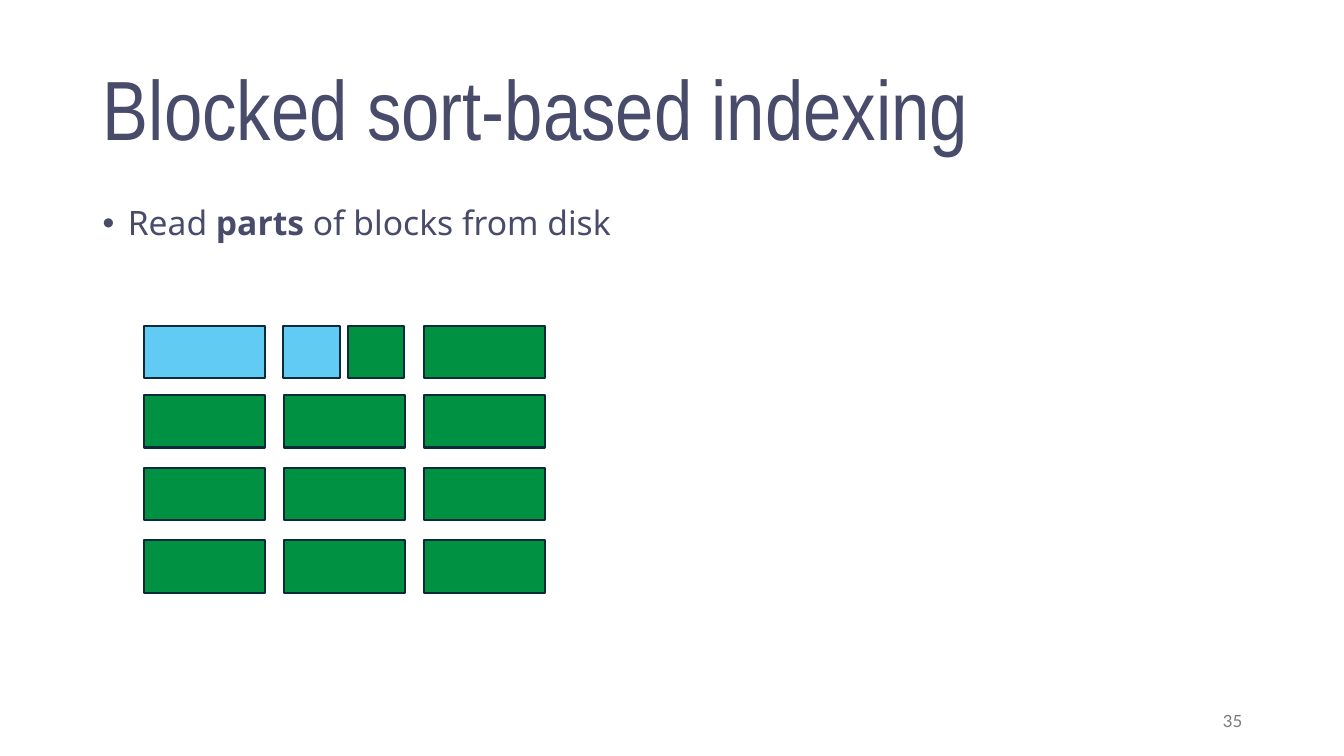
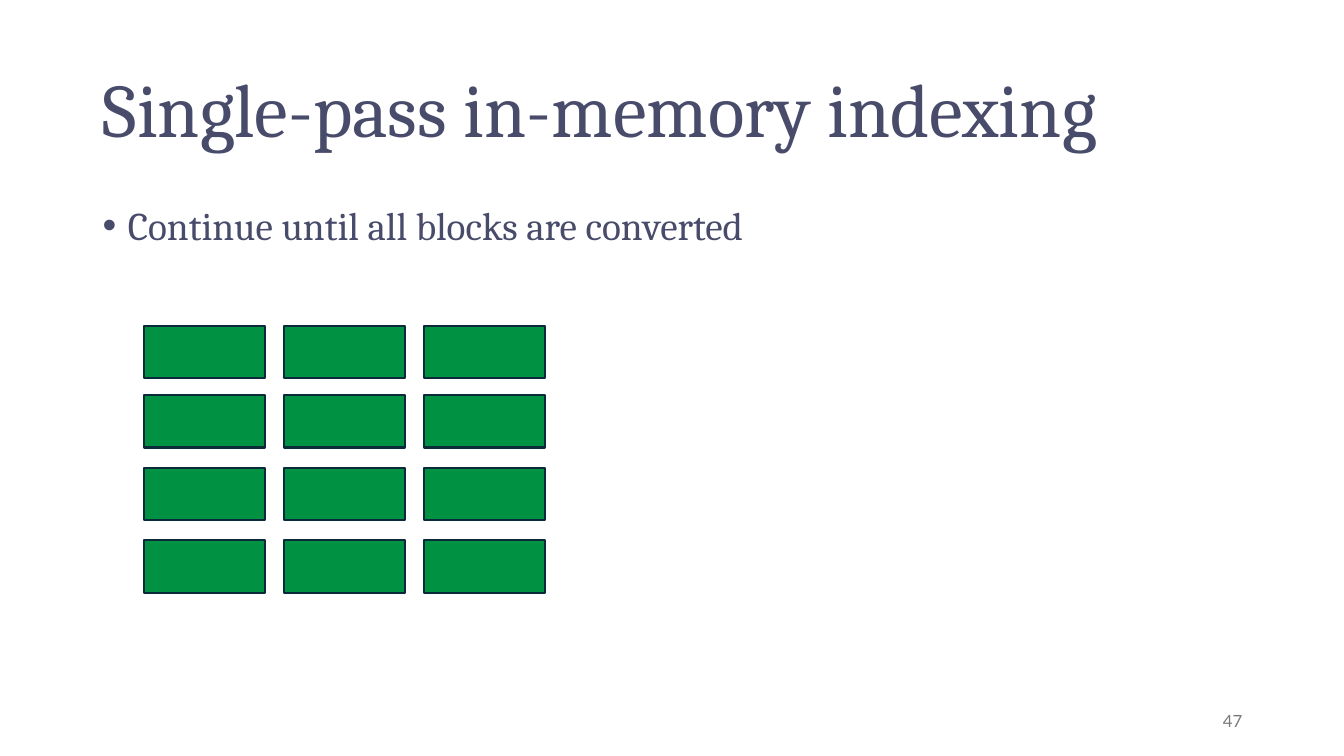
from pptx import Presentation
from pptx.dml.color import RGBColor
from pptx.enum.shapes import MSO_SHAPE
from pptx.enum.text import MSO_ANCHOR, MSO_AUTO_SIZE, PP_ALIGN
from pptx.oxml.ns import qn
from pptx.util import Inches, Pt
from lxml.etree import SubElement

INK, GREY = "484B6A", "797979"
GREEN, BLUE, EDGE = "009242", "61CBF4", "092A39"
LEFT, WIDTH = 0.92, 11.5
COLUMNS = [1.43 + 1.39 * i for i in range(3)]
ROWS = [3.23] + [3.92 + 0.72 * i for i in range(3)]
BLOCK_W, BLOCK_H = 1.2, 0.52
HALF_W, HALF_STEP = 0.56, 0.64


def rgb(value):
    return RGBColor.from_string(value)


def add_run(p, text, size, font, color=INK, bold=False):
    r = p.add_run()
    r.text = text
    r.font.size = Pt(size)
    r.font.name = font
    r.font.bold = bold
    r.font.color.rgb = rgb(color)


def add_title(s, text, size, font):
    sp = s.shapes.title
    sp.left, sp.top = Inches(LEFT), Inches(0.4)
    sp.width, sp.height = Inches(WIDTH), Inches(1.45)
    tf = sp.text_frame
    tf.word_wrap = True
    tf.auto_size = MSO_AUTO_SIZE.NONE
    tf.vertical_anchor = MSO_ANCHOR.MIDDLE
    p = tf.paragraphs[0]
    p.alignment = PP_ALIGN.LEFT
    p.line_spacing = 0.9
    add_run(p, text, size, font)


def add_text_box(s, left, top, width, height):
    tf = s.shapes.add_textbox(
        Inches(left), Inches(top), Inches(width), Inches(height)).text_frame
    tf.word_wrap = True
    return tf


def add_bullet(s, runs, size, font):
    p = add_text_box(s, LEFT, 2, WIDTH, 4.8).paragraphs[0]
    p.line_spacing = 0.9
    pPr = p._p.get_or_add_pPr()
    pPr.set("marL", str(Inches(0.25)))
    pPr.set("indent", str(-Inches(0.25)))
    SubElement(pPr, qn("a:buFont")).set("typeface", "Arial")
    SubElement(pPr, qn("a:buChar")).set("char", "•")
    for text, bold in runs:
        add_run(p, text, size, font, bold=bold)


def add_number(s, number):
    tf = add_text_box(s, 9.42, 6.95, 3, 0.4)
    tf.vertical_anchor = MSO_ANCHOR.MIDDLE
    p = tf.paragraphs[0]
    p.alignment = PP_ALIGN.RIGHT
    add_run(p, str(number), 12, "Lato", GREY)


def add_block(s, left, top, color=GREEN, width=BLOCK_W):
    sp = s.shapes.add_shape(MSO_SHAPE.RECTANGLE, Inches(left), Inches(top),
                            Inches(width), Inches(BLOCK_H))
    sp.shadow.inherit = False
    sp.fill.solid()
    sp.fill.fore_color.rgb = rgb(color)
    sp.line.color.rgb = rgb(EDGE)
    sp.line.width = Pt(1.5)


def add_block_grid(s, read=(), split=()):
    for col, left in enumerate(COLUMNS):
        for row, top in enumerate(ROWS):
            if (col, row) in split:
                for i, color in enumerate((BLUE, GREEN)):
                    add_block(s, left - 0.01 + i * HALF_STEP, top, color, HALF_W)
            else:
                add_block(s, left, top, BLUE if (col, row) in read else GREEN)


def add_slide(prs, title, title_size, title_font, runs, size, font, number):
    s = prs.slides.add_slide(prs.slide_layouts[5])
    add_title(s, title, title_size, title_font)
    add_bullet(s, runs, size, font)
    add_number(s, number)
    return s


def main():
    prs = Presentation()
    prs.slide_width, prs.slide_height = Inches(13.33), Inches(7.5)

    s = add_slide(prs, "Blocked sort-based indexing", 60, "Arial Narrow",
                  [("Read ", False), ("parts ", True),
                   ("of blocks from disk", False)], 24, "Noto Sans", 35)
    add_block_grid(s, read=[(0, 0)], split=[(1, 0)])

    s = add_slide(prs, "Single-pass in-memory indexing", 54, "Cambria",
                  [("Continue until all blocks are converted", False)],
                  28, "Cambria", 47)
    add_block_grid(s)

    prs.save("out.pptx")


if __name__ == "__main__":
    main()
